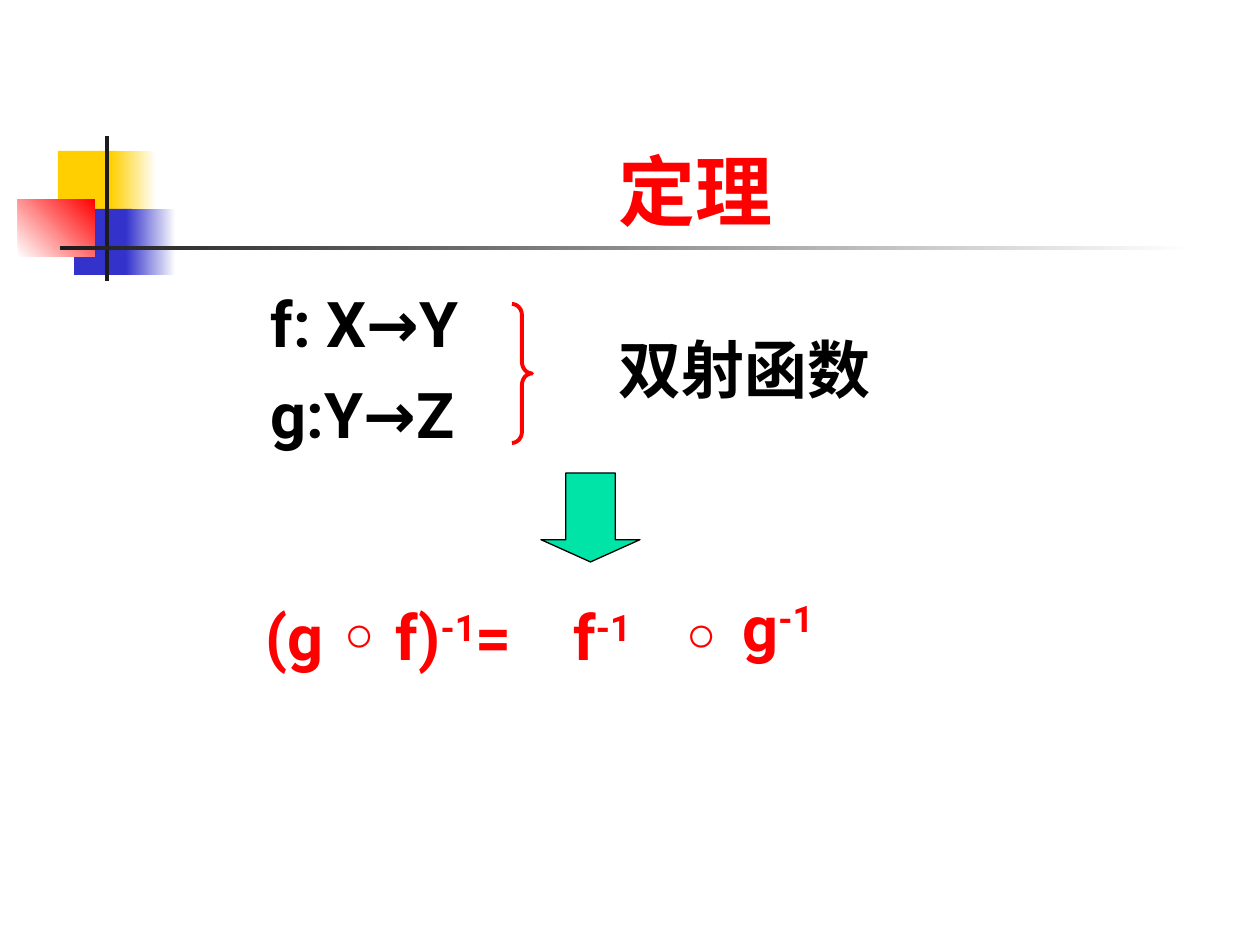
"""Build a slide stating the theorem on the inverse of composed bijections."""
import pptx
import pptx.util
import pptx.dml.color
import pptx.enum.shapes
import pptx.enum.text
import pptx.oxml

PX = 914400 / 126
SHAPE = pptx.enum.shapes.MSO_SHAPE
ALIGN = pptx.enum.text.PP_ALIGN
RED, BLACK, WHITE = "FF0000", "000000", "FFFFFF"
YELLOW, BLUE, DARK = "FFCF01", "3333CC", "1C1C1C"


def rgb(color):
    return pptx.dml.color.RGBColor.from_string(color)


def style(p, size, color, align=ALIGN.LEFT):
    p.alignment = align
    p.font.name = "Roboto"
    p.font.size = pptx.util.Pt(size)
    p.font.bold = True
    p.font.color.rgb = rgb(color)


prs = pptx.Presentation()
prs.slide_width, prs.slide_height = round(1260 * PX), round(945 * PX)
s = prs.slides.add_slide(prs.slide_layouts[1])

decorations = [
    ((58, 151, 60, 66), [YELLOW], 0),
    ((111, 151, 45, 66), [YELLOW, WHITE], 0),
    ((74, 209, 58, 66), [BLUE], 0),
    ((126, 209, 50, 66), [BLUE, WHITE], 0),
    ((18, 199, 77, 58), [WHITE, RED], 45),
    ((105, 136, 4, 145), [DARK], 0),
    ((60, 246, 1134, 4), [DARK, WHITE], 0),
]
for box, colors, angle in decorations:
    sp = s.shapes.add_shape(SHAPE.RECTANGLE, *[round(v * PX) for v in box])
    sp.shadow.inherit = False
    sp.line.fill.background()
    if len(colors) == 1:
        sp.fill.solid()
        sp.fill.fore_color.rgb = rgb(colors[0])
    else:
        sp.fill.gradient()
        sp.fill.gradient_angle = angle
        for stop, color, position in zip(sp.fill.gradient_stops, colors, (0, 1)):
            stop.color.rgb = rgb(color)
            stop.position = position

title, body = s.shapes.title, s.placeholders[1]
for sp, box in ((title, (159, 84, 1074, 158)), (body, (258, 278, 343, 224))):
    sp.left, sp.top, sp.width, sp.height = [round(v * PX) for v in box]
    sp.text_frame.auto_size = pptx.enum.text.MSO_AUTO_SIZE.NONE

title.text_frame.text = "定理"
title.text_frame.vertical_anchor = pptx.enum.text.MSO_ANCHOR.BOTTOM
style(title.text_frame.paragraphs[0], 44, RED, ALIGN.CENTER)

body.text_frame.text = "f: X→Y\ng:Y→Z"
for p, before in zip(body.text_frame.paragraphs, (0, 9)):
    p.space_before = pptx.util.Pt(before)
    p._p.get_or_add_pPr().append(pptx.oxml.parse_xml(
        '<a:buNone xmlns:a="http://schemas.openxmlformats.org/drawingml/2006/main"/>'))
    style(p, 36, BLACK)

brace = s.shapes.add_shape(SHAPE.RIGHT_BRACE, *[round(v * PX) for v in (512, 304, 20, 139)])
brace.shadow.inherit = False
brace.adjustments[0] = 0.57
brace.fill.background()
brace.line.color.rgb = rgb(RED)
brace.line.width = pptx.util.Pt(2.25)

arrow = s.shapes.add_shape(SHAPE.DOWN_ARROW, *[round(v * PX) for v in (541, 473, 99, 89)])
arrow.shadow.inherit = False
arrow.adjustments[0], arrow.adjustments[1] = 0.5, 0.25
arrow.fill.solid()
arrow.fill.fore_color.rgb = rgb("00E4A8")
arrow.line.color.rgb = rgb(BLACK)
arrow.line.width = pptx.util.Pt(0.75)

labels = [
    ((253, 591, 348, 88), ["(g ◦ f)", "-1", "="], RED, ALIGN.LEFT),
    ((591, 324, 307, 88), ["双射函数"], BLACK, ALIGN.CENTER),
    ((669, 591, 47, 88), ["◦"], RED, ALIGN.LEFT),
    ((730, 582, 139, 88), ["g", "-1"], RED, ALIGN.LEFT),
    ((561, 591, 139, 88), ["f", "-1"], RED, ALIGN.LEFT),
]
for box, runs, color, align in labels:
    tf = s.shapes.add_textbox(*[round(v * PX) for v in box]).text_frame
    tf.word_wrap = True
    p = tf.paragraphs[0]
    style(p, 36, color, align)
    for text in runs:
        r = p.add_run()
        r.text = text
        if text == "-1":
            r._r.get_or_add_rPr().set("baseline", "30000")

prs.save("out.pptx")
